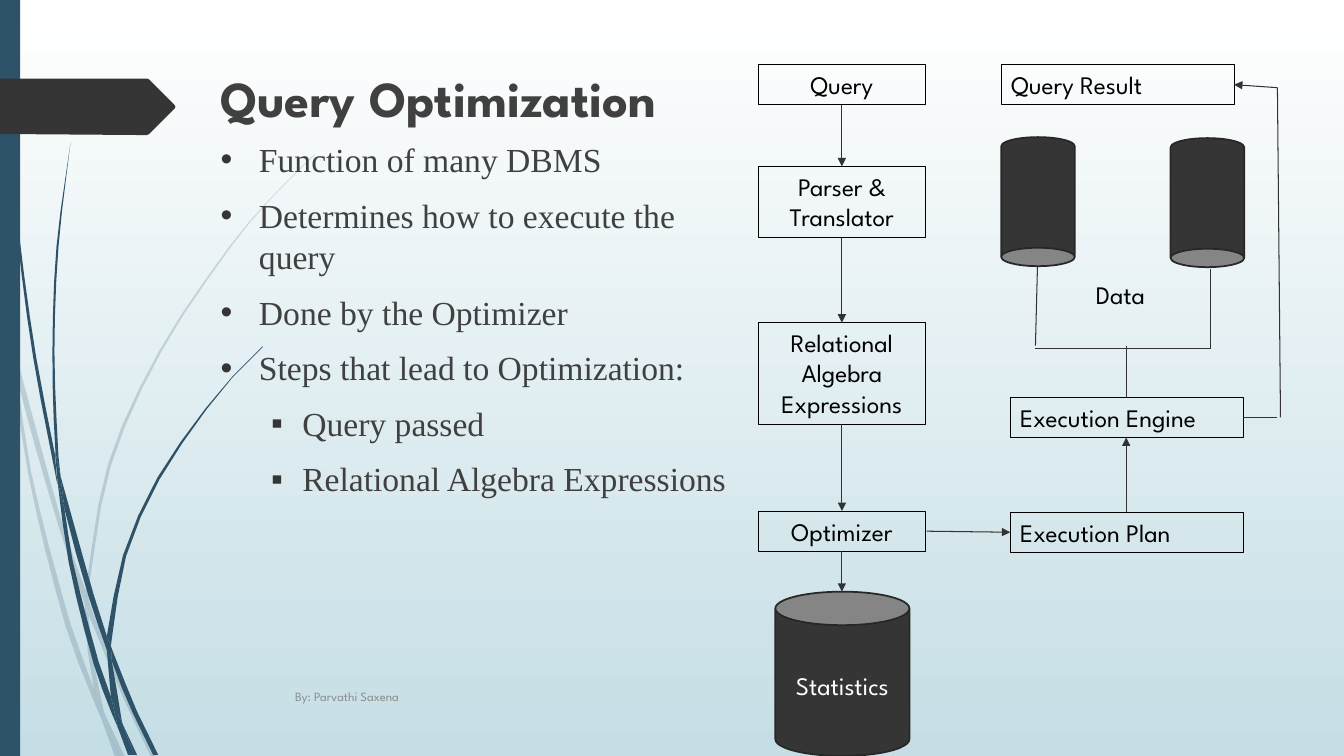
from lxml import etree
from pptx import Presentation
from pptx.dml.color import RGBColor
from pptx.enum.shapes import MSO_CONNECTOR, MSO_SHAPE
from pptx.enum.text import MSO_ANCHOR, PP_ALIGN
from pptx.oxml.ns import qn
from pptx.util import Inches, Pt

RECT, CAN, LINE = MSO_SHAPE.RECTANGLE, MSO_SHAPE.CAN, MSO_CONNECTOR.STRAIGHT
TOP, MIDDLE, BOTTOM = MSO_ANCHOR.TOP, MSO_ANCHOR.MIDDLE, MSO_ANCHOR.BOTTOM
LEFT, CENTER = PP_ALIGN.LEFT, PP_ALIGN.CENTER

WHITE, BLACK = RGBColor(255, 255, 255), RGBColor(0, 0, 0)
MIST, NAVY = RGBColor(0xC5, 0xDE, 0xE5), RGBColor(0x2E, 0x53, 0x69)
DARK, EDGE = RGBColor(0x35, 0x35, 0x35), RGBColor(0x27, 0x27, 0x27)
WIRE, INK = RGBColor(0x33, 0x33, 0x33), RGBColor(0x40, 0x40, 0x40)
GREY = RGBColor(0x8C, 0x8C, 0x8C)

SANS, SERIF = "League Spartan", "Times New Roman"
TITLE = {"name": SANS, "size": Pt(36), "bold": True}
BODY = {"name": SERIF, "size": Pt(24)}
LABEL = {"name": SANS, "size": Pt(18)}
SMALL = {"name": SANS, "size": Pt(9)}

# Each blade of grass is a ring of smooth edges, parted by "/", in inches.
PALE = [
    ".11,3.5 .09,3.22 0,2.82 / 0,2.99 .1,3.44 .11,3.5",
    ".14,3.45 .17,3.76 .58,5.22 .84,5.99 / .85,5.86 .62,5.2 .14,3.45",
    ".88,6.1 1.23,6.94 1.5,7.51 / 1.55,7.51 1.27,6.92 .92,6.07 .88,5.96",
    "1.19,7.51 1.24,7.51 / 1.05,7.11",
    ".11,3.5 .28,4.7 .65,6.21 .92,6.93 1.01,7.14 / .99,7.07 .93,6.83 .7,6.19 .31,4.69 .17,3.76 .11,3.5",
    ".84,5.99 .87,6.46 .93,6.83 .96,6.92 1.05,7.11 / 1.03,7.06 .91,6.46 .88,6.1 .84,5.99",
    ".88,5.96 .88,5.84 1.1,4.62 1.6,3.49 2.29,2.45 2.68,1.98 3.12,1.54 / "
    "3.12,1.53 2.68,1.97 2.28,2.44 1.58,3.48 1.07,4.61 .85,5.84 .85,5.86",
    "1.01,7.14 1.14,7.51 / 1.19,7.51",
    ".88,6.08 .88,6.1 / .88,5.96 .85,5.86 / .84,5.99",
    ".93,6.83 .99,7.07 1.01,7.14 1.19,7.51 / 1.05,7.11 .96,6.92 .93,6.83",
]
DEEP = [
    ".03,0 .07,1.1 .17,2.33 .33,3.55 .57,4.81 / .55,4.57 .55,4.53 .36,3.55 .19,2.32 .08,1.09 .04,0",
    ".6,4.72 .64,5.05 .88,5.92 1.06,6.45 / 1.06,6.33 1.06,6.31 .93,5.9 .6,4.72",
    "1.1,6.41 1.11,6.56 1.32,7.08 1.52,7.49 / 1.57,7.49 1.36,7.06 1.13,6.49 1.1,6.41",
    ".57,4.77 .68,5.57 .93,6.59 1.11,7.08 1.17,7.22 / 1.16,7.17 1.1,6.91 .98,6.57 .72,5.56 .64,5.05 .57,4.77",
    ".6,4.72 .58,4.53 .54,3.49 .58,2.45 .7,1.41 / .7,1.41 .56,2.45 .52,3.49 .55,4.49 .6,4.72",
    "1.33,7.49 1.36,7.49 / 1.22,7.19",
    ".57,4.77 .64,5.05 / .6,4.72 .55,4.49 / .55,4.53",
    "1.1,6.41 1.11,6.33 1.25,5.52 1.58,4.76 2.05,4.06 2.31,3.74 2.61,3.44 / "
    "2.6,3.44 2.31,3.73 2.04,4.05 1.56,4.74 1.22,5.51 1.06,6.31",
    "1.17,7.22 1.27,7.49 / 1.31,7.49",
    "1.06,6.45 1.1,6.91 1.16,7.06 1.22,7.19 / 1.21,7.16 1.11,6.56 1.09,6.51 1.06,6.45",
    "1.06,6.45 1.09,6.51 1.11,6.56 / 1.1,6.41 1.06,6.31",
    "1.1,6.91 1.16,7.17 1.17,7.22 1.3,7.49 / 1.33,7.49 1.22,7.19 1.16,7.06 1.1,6.91",
]
TAG = "0,.78 / 1.46,.78 / 1.48,.79 / 1.73,1.04 1.74,1.06 1.73,1.08 / 1.48,1.33 1.46,1.34 / 1.36,1.34 / 0,1.33"

STEPS = [("Query", 0.64, 0.4), ("Parser & Translator", 1.65, 0.71),
         ("Relational Algebra Expressions", 3.2, 1.01), ("Optimizer", 5.07, 0.4)]
STAGES = [("Query Result", 9.93, 0.64), ("Execution Engine", 10.02, 3.94), ("Execution Plan", 10.02, 5.08)]
POINTS = [("Function of many DBMS", 0), ("Determines how to execute the query", 0),
          ("Done by the Optimizer", 0), ("Steps that lead to Optimization:", 0),
          ("Query passed", 1), ("Relational Algebra Expressions", 1)]
BULLETS = [("•", 0.38, -0.38), ("▪", 0.81, -0.31)]
ARROWS = [((9.19, 5.27), (10.02, 5.28)), ((11.17, 5.08), (11.17, 4.34)), ((12.67, 0.87), (12.24, 0.84))]
WIRES = [((12.33, 4.14), (12.67, 4.14)), ((12.7, 4.14), (12.67, 0.87)), ((11.17, 3.94), (11.17, 3.43)),
         ((10.27, 3.46), (12.01, 3.46)), ((10.27, 3.43), (10.29, 2.64)), ((12.01, 3.46), (12.01, 2.67))]


def smooth(knots):
    """Return a few points on a soft curve through the knots, more on long spans."""
    def lean(i):
        a, b = knots[max(i - 1, 0)], knots[min(i + 1, len(knots) - 1)]
        step = complex(b[0] - a[0], b[1] - a[1])
        return step / (abs(step) or 1)

    dots = [knots[0]]
    for i in range(len(knots) - 1):
        a, d = complex(*knots[i]), complex(*knots[i + 1])
        reach = abs(d - a) / 3
        b, c = a + lean(i) * reach, d - lean(i + 1) * reach
        parts = 1 + int(abs(d - a) * 2)
        for n in range(1, parts + 1):
            t = n / parts
            s = 1 - t
            dot = s**3 * a + 3 * s * s * t * b + 3 * s * t * t * c + t**3 * d
            dots.append((dot.real, dot.imag))
    return dots


def add_blade(slide, ring, color, alpha=None):
    """Draw a closed outline from a ring of smooth edges."""
    dots = []
    for edge in ring.split("/"):
        dots += smooth([tuple(map(float, knot.split(","))) for knot in edge.split()])
    dots = [(Inches(x), Inches(y)) for x, y in dots]
    pen = slide.shapes.build_freeform(*dots[0])
    pen.add_line_segments(dots[1:], close=True)
    blade = pen.convert_to_shape()
    paint(blade, color)
    if alpha:
        tint = blade._element.spPr.find(".//" + qn("a:srgbClr"))
        etree.SubElement(tint, qn("a:alpha"), val=str(alpha * 1000))


def paint(shape, fill=None, line=None, width=0.75):
    """Set fill and line, or clear them, and drop the shadow."""
    shape.shadow.inherit = False
    for part, color in ((shape.fill, fill), (shape.line.fill, line)):
        if color is None:
            part.background()
        else:
            part.solid()
            part.fore_color.rgb = color
    if line is not None:
        shape.line.width = Pt(width)


def add_shape(slide, kind, box, **look):
    """Add a preset shape with its look."""
    shape = slide.shapes.add_shape(kind, *map(Inches, box))
    paint(shape, **look)
    return shape


def style(para, text, font, color):
    """Put one styled run in a paragraph."""
    run = para.add_run()
    run.text = text
    for key, value in font.items():
        setattr(run.font, key, value)
    run.font.color.rgb = color


def write(shape, text, font, color, align=LEFT, anchor=TOP):
    """Write one paragraph in a shape."""
    frame = shape.text_frame
    frame.word_wrap, frame.vertical_anchor = True, anchor
    para = frame.paragraphs[0]
    para.alignment = align
    style(para, text, font, color)


def add_text(slide, box, *args, **place):
    """Add a text box with one paragraph."""
    write(slide.shapes.add_textbox(*map(Inches, box)), *args, **place)


def add_list(slide, box, points):
    """Add the bulleted list."""
    frame = slide.shapes.add_textbox(*map(Inches, box)).text_frame
    frame.word_wrap = True
    for i, (text, level) in enumerate(points):
        para = frame.add_paragraph() if i else frame.paragraphs[0]
        para.level, para.space_before, para.line_spacing = level, Pt(10), 1.03
        style(para, text, BODY, INK)
        mark, margin, indent = BULLETS[level]
        props = para._p.get_or_add_pPr()
        props.set("marL", str(Inches(margin)))
        props.set("indent", str(Inches(indent)))
        tint = etree.SubElement(props, qn("a:buClr"))
        etree.SubElement(tint, qn("a:srgbClr"), val=str(DARK))
        etree.SubElement(props, qn("a:buFont"), typeface="Arial")
        etree.SubElement(props, qn("a:buChar"), char=mark)


def add_line(slide, start, end, head=False):
    """Join two points, with an arrowhead at the end if asked."""
    line = slide.shapes.add_connector(LINE, *map(Inches, start + end))
    line.line.color.rgb, line.line.width = WIRE, Pt(0.75)
    if head:
        etree.SubElement(line.line._get_or_add_ln(), qn("a:tailEnd"), type="triangle")
    etree.SubElement(line._element.spPr, qn("a:effectLst"))


def add_back(slide):
    """Lay the gradient, the grass, the side bar and the tag."""
    fill = slide.background.fill
    fill.gradient()
    fill.gradient_angle = 270
    for stop, color, spot in zip(fill.gradient_stops, (WHITE, MIST), (0, 1)):
        stop.color.rgb, stop.position = color, spot
    for rings, alpha in ((PALE, 20), (DEEP, None)):
        for ring in rings:
            add_blade(slide, ring, NAVY, alpha)
    add_shape(slide, RECT, (0, 0, 0.2, 7.5), fill=NAVY)
    add_blade(slide, TAG, DARK)


def add_flow(slide):
    """Draw the steps, stages, data stores and their links."""
    for text, top, high in STEPS:
        box = add_shape(slide, RECT, (7.52, top, 1.66, high), line=BLACK)
        write(box, text, LABEL, BLACK, align=CENTER)
    for text, left, top in STAGES:
        box = add_shape(slide, RECT, (left, top, 2.31, 0.4), line=BLACK)
        write(box, text, LABEL, BLACK)
    ends = [top for _, top, _ in STEPS[1:]] + [5.87]
    falls = [((8.35, top + high), (8.35, end)) for (_, top, high), end in zip(STEPS, ends)]
    for start, end in falls + ARROWS:
        add_line(slide, start, end, head=True)
    for start, end in WIRES:
        add_line(slide, start, end)
    for box, turn in (((7.69, 5.87, 1.33, 1.63), 0), ((9.93, 1.36, 0.73, 1.28), 180),
                      ((11.61, 1.37, 0.73, 1.28), 180)):
        add_shape(slide, CAN, box, fill=DARK, line=EDGE, width=1.25).rotation = turn
    add_text(slide, (7.7, 6.6, 1.31, 0.4), "Statistics", LABEL, WHITE, align=CENTER)
    add_text(slide, (10.77, 2.72, 0.91, 0.4), "Data", LABEL, BLACK)


def main():
    """Build and save the slide."""
    deck = Presentation()
    deck.slide_width, deck.slide_height = Inches(13.33), Inches(7.5)
    slide = deck.slides.add_slide(deck.slide_layouts[6])
    add_back(slide)
    add_text(slide, (2.09, 0.69, 5.01, 0.63), "Query Optimization", TITLE, INK, anchor=BOTTOM)
    add_list(slide, (2.09, 1.32, 5.38, 5.88), POINTS)
    add_flow(slide)
    add_text(slide, (2.83, 6.71, 8.33, 0.4), "By: Parvathi Saxena", SMALL, GREY, anchor=MIDDLE)
    deck.save("out.pptx")


main()
